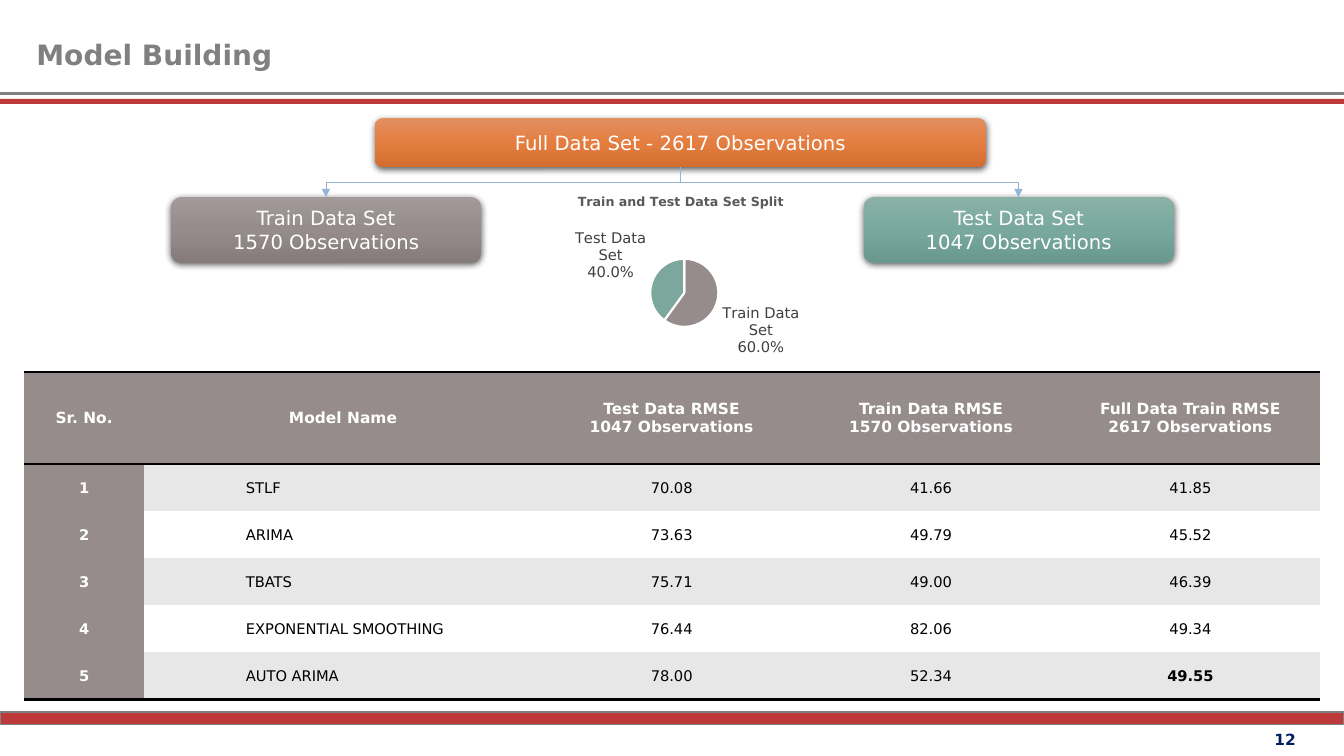
from copy import deepcopy
from lxml import etree
from pptx import Presentation, util as u, oxml
from pptx.chart.data import CategoryChartData
from pptx.dml.color import RGBColor
from pptx.enum import chart as charts, shapes, text
from pptx.oxml import ns

presentation = Presentation()
presentation.slide_width, presentation.slide_height = u.Inches(13.33), u.Inches(7.5)
column, row = presentation.slide_width / 100, presentation.slide_height / 100
slide = presentation.slides.add_slide(presentation.slide_layouts[6])

FONT = "DejaVu Sans"
GREY, RED, WHITE, BLACK, TAUPE, TEAL = "808080", "B21515", "FFFFFF", "000000", "968C8C", "7BA79D"
CENTER, LEFT = text.PP_ALIGN.CENTER, text.PP_ALIGN.LEFT
NAMESPACE = ns.nsdecls("a")
styled = []


def color(value):
    return RGBColor.from_string(value)


def place(left, top, width, height):
    return [round(left * column), round(top * row), round(width * column), round(height * row)]


for area, tone, outline in [
    ((0, 94.2, 100, 1.6), RED, 1),
    ((0, 12.4, 100, 0.01), GREY, 2.25),
    ((0, 13.07, 100, 0.67), RED, 0),
]:
    band = slide.shapes.add_shape(shapes.MSO_SHAPE.RECTANGLE, *place(*area))
    band.shadow.inherit = False
    band.fill.solid()
    band.fill.fore_color.rgb = color(tone)
    tint = band.fill._xPr.find(".//" + ns.qn("a:srgbClr"))
    etree.SubElement(tint, ns.qn("a:alpha"), val="84000")
    if outline:
        band.line.color.rgb = color(GREY)
        band.line.width = u.Pt(outline)
    else:
        band.line.fill.background()

for content, area, anchor, alignment, spacing, size, tone in [
    ("12", (93.6, 95.9, 4.05, 4), text.MSO_ANCHOR.TOP, CENTER, 1, 11, "002060"),
    ("Model Building", (1.97, 0.15, 81.77, 11.87), text.MSO_ANCHOR.MIDDLE, LEFT, 1.5, 20, GREY),
]:
    frame = slide.shapes.add_textbox(*place(*area)).text_frame
    frame.word_wrap = True
    frame.vertical_anchor = anchor
    frame.text = content
    paragraph = frame.paragraphs[0]
    paragraph.alignment = alignment
    paragraph.line_spacing = spacing
    styled.append((paragraph.runs[0].font, size, tone, True))

records = [
    ["Sr. No.", "Model Name", "Test Data RMSE\n1047 Observations",
     "Train Data RMSE\n1570 Observations", "Full Data Train RMSE\n2617 Observations"],
    ["1", "STLF", "70.08", "41.66", "41.85"],
    ["2", "ARIMA", "73.63", "49.79", "45.52"],
    ["3", "TBATS", "75.71", "49.00", "46.39"],
    ["4", "EXPONENTIAL SMOOTHING", "76.44", "82.06", "49.34"],
    ["5", "AUTO ARIMA", "78.00", "52.34", "49.55"],
]
last = len(records) - 1
table = slide.shapes.add_table(len(records), 5, *place(1.8, 49.2, 96.43, 43.35)).table
table.horz_banding = False
table._tbl.tblPr.find(ns.qn("a:tableStyleId")).text = "{2D5ABB26-0587-4C30-8999-92F81FD0307C}"
for table_column, share in zip(table.columns, [8.93, 29.6, 19.3, 19.3, 19.3]):
    table_column.width = round(share * column)
for table_row, share in zip(table.rows, [12.2] + [6.23] * last):
    table_row.height = round(share * row)

for r, record in enumerate(records):
    for c, content in enumerate(record):
        cell = table.cell(r, c)
        heading = r == 0 or c == 0
        for margin, inches in {"left": 0.01, "right": 0.01, "top": 0.01, "bottom": 0}.items():
            setattr(cell, "margin_" + margin, u.Inches(inches))
        cell.vertical_anchor = text.MSO_ANCHOR.MIDDLE
        for edge in {0: ["lnT", "lnB"], last: ["lnB"]}.get(r, []):
            cell._tc.get_or_add_tcPr().append(oxml.parse_xml(
                f'<a:{edge} {NAMESPACE} w="25400"><a:solidFill><a:srgbClr val="{BLACK}"/>'
                f'</a:solidFill></a:{edge}>'))
        cell.fill.solid()
        cell.fill.fore_color.rgb = color(TAUPE if heading else "E7E7E7" if r % 2 else WHITE)
        paragraph = cell.text_frame.paragraphs[0]
        paragraph.text = content
        if c == 1 and r:
            paragraph.level = 2
            paragraph._p.get_or_add_pPr().set("marL", str(u.Inches(1)))
            paragraph._p.get_or_add_pPr().set("indent", "0")
        else:
            paragraph.alignment = CENTER
        bold = heading or (r, c) == (last, 4)
        for run in paragraph.runs:
            styled.append((run.font, 10.5 if r else 11, WHITE if heading else BLACK, bold))

for content, area, tones in [
    ("Full Data Set - 2617 Observations", (27.9, 15.6, 45.46, 6.47), ["E28F63", "E47E40", "D46E30"]),
    ("Train Data Set\n1570 Observations", (12.72, 26.07, 23.1, 8.67), ["A29999", TAUPE, "867B7B"]),
    ("Test Data Set\n1047 Observations", (64.25, 26.07, 23.1, 8.67), ["8AB1A8", "79A99E", "69998E"]),
]:
    box = slide.shapes.add_shape(shapes.MSO_SHAPE.ROUNDED_RECTANGLE, *place(*area))
    box.line.fill.background()
    box.fill.gradient()
    box.fill.gradient_angle = 270
    stops = box._element.spPr.find(".//" + ns.qn("a:gsLst"))
    stops.append(deepcopy(stops[0]))
    for stop, position, tone in zip(box.fill.gradient_stops, [0, 0.5, 1], tones):
        stop.position = position
        stop.color.rgb = color(tone)
    box.shadow.inherit = False
    box._element.spPr.find(ns.qn("a:effectLst")).append(oxml.parse_xml(
        f'<a:outerShdw {NAMESPACE} blurRad="57150" dist="19050" dir="5400000" algn="ctr" rotWithShape="0">'
        f'<a:srgbClr val="{BLACK}"><a:alpha val="63000"/></a:srgbClr></a:outerShdw>'))
    box.text_frame.text = content
    box.text_frame.vertical_anchor = text.MSO_ANCHOR.MIDDLE
    for paragraph in box.text_frame.paragraphs:
        paragraph.alignment = CENTER
        styled.append((paragraph.runs[0].font, 14, WHITE, False))

trunk, branch_row, drop = 50.64 * column, 24.1 * row, 4 * row
for target, turn in [(24.25 * column, 90), (75.78 * column, 270)]:
    middle, span = (trunk + target) / 2, abs(target - trunk)
    ends = [round(middle - drop / 2), round(middle + drop / 2)]
    begin, end = ends if turn == 90 else ends[::-1]
    arrow = slide.shapes.add_connector(
        shapes.MSO_CONNECTOR.ELBOW, begin, round(branch_row - span / 2), end, round(branch_row + span / 2))
    arrow._element.spPr.find(ns.qn("a:xfrm")).set("rot", str(turn * 60000))
    arrow.line.color.rgb = color("94B6D2")
    arrow.line.width = u.Pt(0.5)
    etree.SubElement(arrow.line._get_or_add_ln(), ns.qn("a:tailEnd"), type="triangle")
    etree.SubElement(arrow._element.spPr, ns.qn("a:effectLst"))

split = CategoryChartData()
split.categories = ["Train Data Set", "Test Data Set"]
split.add_series("Train and Test Data Set Split", [60, 40])
pie = slide.shapes.add_chart(charts.XL_CHART_TYPE.PIE, *place(34.93, 24.05, 31.43, 25.2), split).chart
pie.has_legend = False
pie.has_title = True
pie.chart_title.include_in_layout = False
pie.chart_title.text_frame.text = "Train and Test Data Set Split"
styled.append((pie.font, 10, BLACK, False))
styled.append((pie.chart_title.text_frame.paragraphs[0].runs[0].font, 9, "595959", True))
plot = pie.plots[0]
plot.vary_by_categories = True
for index, tone in enumerate([TAUPE, TEAL]):
    slice_format = plot.series[0].points[index].format
    slice_format.fill.solid()
    slice_format.fill.fore_color.rgb = color(tone)
    slice_format.line.color.rgb = color(WHITE)
    slice_format.line.width = u.Pt(1.5)
labels = plot.series[0].data_labels
for key, value in {
    "show_category_name": True, "show_percentage": True, "show_value": False,
    "number_format": "0.0%", "number_format_is_linked": False,
    "position": charts.XL_LABEL_POSITION.OUTSIDE_END,
}.items():
    setattr(labels, key, value)
separator = oxml.parse_xml(f'<c:separator {ns.nsdecls("c")}>\n</c:separator>')
labels._element.find(ns.qn("c:showBubbleSize")).addnext(separator)
styled.append((labels.font, 10.5, "404040", False))

for font, size, tone, bold in styled:
    for key, value in {"name": FONT, "size": u.Pt(size), "bold": bold}.items():
        setattr(font, key, value)
    font.color.rgb = color(tone)

presentation.save("out.pptx")
